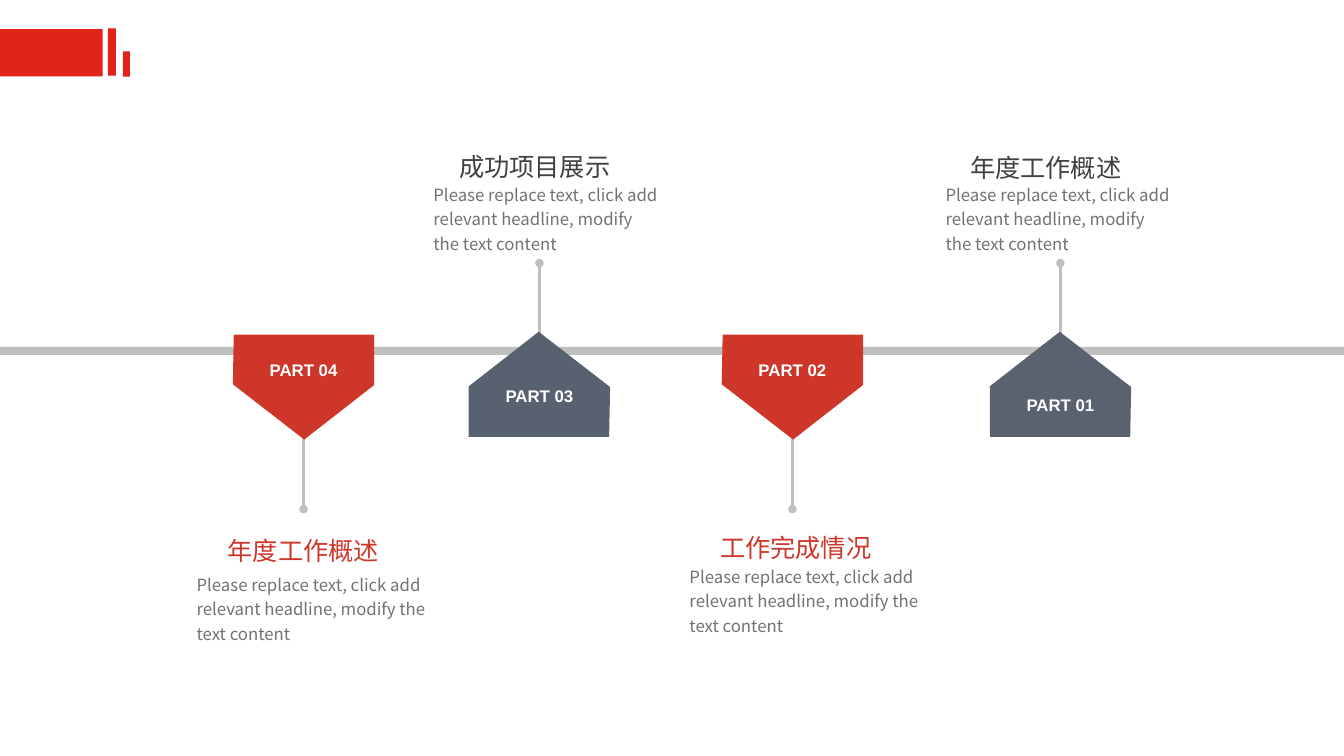
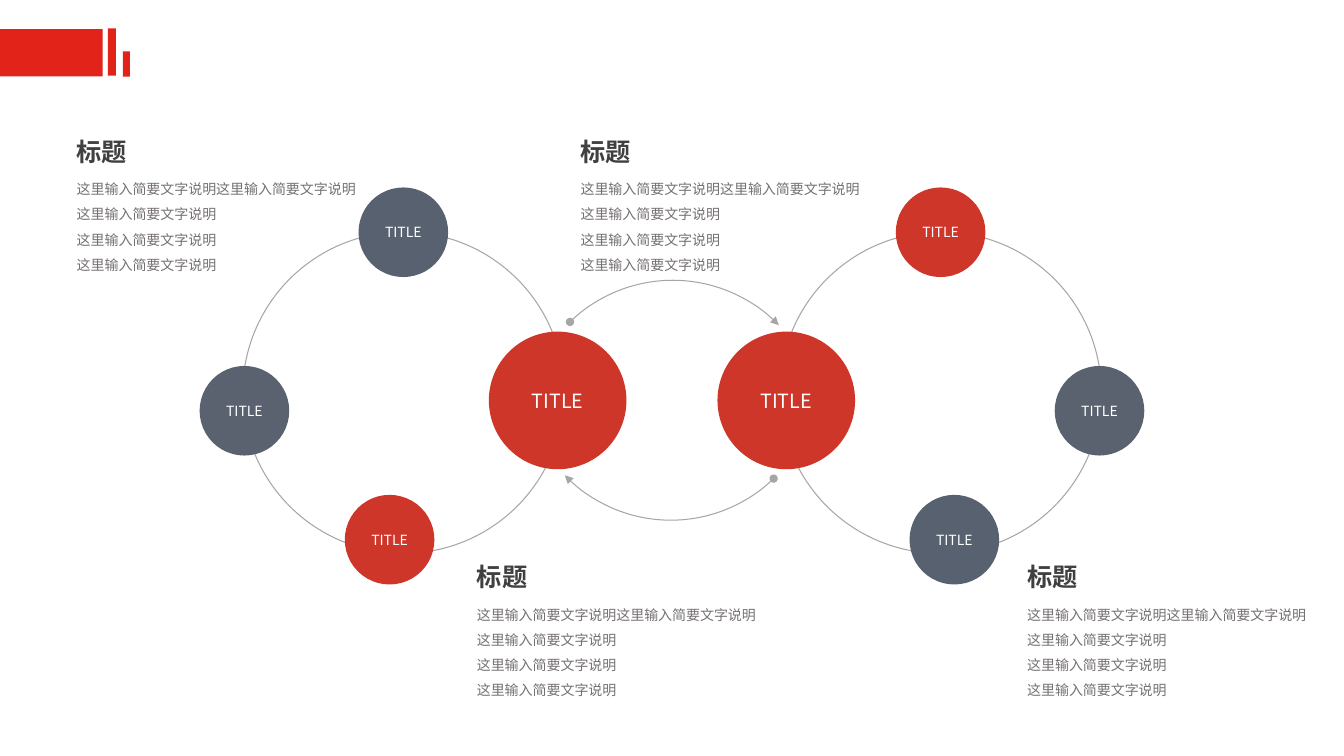
import lxml.etree
import pptx
import pptx.dml.color
import pptx.enum.shapes
import pptx.enum.text
import pptx.oxml.ns
import pptx.util

Pt = pptx.util.Pt
SHAPE = pptx.enum.shapes.MSO_SHAPE
ALIGN = pptx.enum.text.PP_ALIGN
ANCHOR = pptx.enum.text.MSO_ANCHOR
qn = pptx.oxml.ns.qn

WIDTH, HEIGHT = 960, 540
LATIN, CJK = "Arial", "Noto Sans CJK SC"
BRAND, RED, SLATE, STEEL = "E2231A", "CF362A", "586170", "5A616F"
WHITE, DARK, GREY, RAIL, RING = "FFFFFF", "404040", "767171", "BFBFBF", "A6A6A6"

CORNER_BARS = [(77, 20.2, 5.8, 33.8), (87.8, 36.7, 5, 18), (0, 20.9, 73.4, 33.8)]

PROMPT = "Please replace text, click add relevant headline, modify the text content"
MILESTONES = [
    {"label": "PART 04", "heading": "年度工作概述", "down": True, "left": 166.3, "fill": RED,
     "label_shift": -13.7, "heading_at": (216.7, 378.1), "body_at": (140.4, 408.2)},
    {"label": "PART 03", "heading": "成功项目展示", "down": False, "left": 334.8, "fill": SLATE,
     "label_shift": 6.8, "heading_at": (382, 104), "body_at": (309.6, 129.6)},
    {"label": "PART 02", "heading": "工作完成情况", "down": True, "left": 515.5, "fill": RED,
     "label_shift": -13.7, "heading_at": (568.4, 376), "body_at": (492.5, 402.5)},
    {"label": "PART 01", "heading": "年度工作概述", "down": False, "left": 707, "fill": STEEL,
     "label_shift": 13.2, "heading_at": (747, 104.6), "body_at": (675.4, 129.6)},
]
TAG_WIDTH, TAG_HEIGHT = 101, 75
TAG_OUTLINE = [(0.7, 0), (101, 0), (101, 36), (51, 75), (0, 35.5)]

SENTENCE = "这里输入简要文字说明"
NOTE_HEADING = "标题"
NOTE_LINES = [SENTENCE * 3, SENTENCE, SENTENCE]
NOTE_SPOTS = [(340.6, 401), (733.7, 401), (54.8, 97.1), (414.7, 97.1)]

CIRCLE_LABEL = "TITLE"
RING_BOX = (173.3, 165.6, 229.7)
CIRCLES = [
    {"box": (349.2, 236.9, 98.3), "size": 14, "fills": (RED, RED)},
    {"box": (142.6, 261.4, 64), "size": 10, "fills": (STEEL, STEEL)},
    {"box": (256.1, 133.9, 64), "size": 10, "fills": (SLATE, RED)},
    {"box": (246.3, 353.5, 64), "size": 10, "fills": (RED, SLATE)},
]
ARCS = [(375.1, 200.2, 225.9), (373.7, 160.6, 45.9)]
ARC_SIZE, ARC_SWEEP = 211, 90


def color(value):
    return pptx.dml.color.RGBColor.from_string(value)


def paint(shape, fill=None, line=None):
    shape.shadow.inherit = False
    if fill:
        shape.fill.solid()
        shape.fill.fore_color.rgb = color(fill)
    else:
        shape.fill.background()
    if line:
        shape.line.color.rgb = color(line)
        shape.line.width = Pt(0.75)
    else:
        shape.line.fill.background()
    return shape


def add_preset(slide, kind, box, fill=None, line=None):
    return paint(slide.shapes.add_shape(kind, *map(Pt, box)), fill, line)


def add_line_ends(shape, **ends):
    line = shape.element.spPr.find(qn("a:ln"))
    for end, style in ends.items():
        lxml.etree.SubElement(line, qn("a:" + end)).set("type", style)


def write(shape, lines, size, ink, font=CJK, bold=False, align=ALIGN.LEFT,
          spacing=1.0, anchor=ANCHOR.MIDDLE, wrap=True):
    frame = shape.text_frame
    frame.word_wrap = wrap
    frame.vertical_anchor = anchor
    frame.margin_left = frame.margin_right = frame.margin_top = frame.margin_bottom = 0
    for index, line in enumerate(lines):
        para = frame.add_paragraph() if index else frame.paragraphs[0]
        para.alignment = align
        para.line_spacing = spacing
        span = para.add_run()
        span.text = line
        span.font.size = Pt(size)
        span.font.bold = bold
        span.font.name = font
        span.font.color.rgb = color(ink)
        east_asian = lxml.etree.SubElement(span.font._element, qn("a:ea"))
        east_asian.set("typeface", CJK)
    return frame


def add_text(slide, box, lines, size, ink, **style):
    return write(slide.shapes.add_textbox(*map(Pt, box)), lines, size, ink, **style)


def brand_layout(layout, slide):
    for box in CORNER_BARS:
        bar = add_preset(slide, SHAPE.RECTANGLE, box, BRAND)
        layout.shapes.element.append(bar.element)


def add_stem(slide, x, start, end):
    stem = slide.shapes.add_connector(
        pptx.enum.shapes.MSO_CONNECTOR.STRAIGHT, Pt(x), Pt(start), Pt(x), Pt(end))
    stem.line.color.rgb = color(RAIL)
    stem.line.width = Pt(2)
    add_line_ends(stem, tailEnd="oval")
    lxml.etree.SubElement(stem.element.spPr, qn("a:effectLst"))


def add_tag(slide, item):
    top, outline = 239, TAG_OUTLINE
    if not item["down"]:
        top = 237
        outline = [(TAG_WIDTH - x, TAG_HEIGHT - y) for x, y in outline]
    corners = [(Pt(item["left"] + x), Pt(top + y)) for x, y in outline]
    builder = slide.shapes.build_freeform(*corners[0])
    builder.add_line_segments(corners[1:], close=True)
    tag = paint(builder.convert_to_shape(), item["fill"])
    frame = write(tag, [item["label"]], 12, WHITE, font=LATIN, bold=True,
                  align=ALIGN.CENTER, spacing=1.2)
    shift = item["label_shift"]
    frame.margin_top = Pt(max(2 * shift, 0))
    frame.margin_bottom = Pt(max(-2 * shift, 0))


def build_timeline(slide):
    add_preset(slide, SHAPE.RECTANGLE, (0, 247.7, WIDTH, 5.8), RAIL)
    for item in MILESTONES:
        down = item["down"]
        stem_start, stem_end = (310.3, 363.6) if down else (241.2, 187.9)
        add_stem(slide, item["left"] + TAG_WIDTH / 2, stem_start, stem_end)
        add_tag(slide, item)
        center, top = item["heading_at"]
        add_text(slide, (center - 76, top, 152, 30), [item["heading"]], 18,
                 RED if down else DARK, font=LATIN, align=ALIGN.CENTER, wrap=False)
        add_text(slide, (*item["body_at"], 170 if down else 161, 51), [PROMPT], 12,
                 GREY, spacing=1.2)


def build_cycles(slide):
    for side in range(2):
        def place(left, top, size):
            return (WIDTH - left - size if side else left, top, size, size)

        add_preset(slide, SHAPE.OVAL, place(*RING_BOX), line=RING)
        for circle in CIRCLES:
            disc = add_preset(slide, SHAPE.OVAL, place(*circle["box"]), circle["fills"][side])
            write(disc, [CIRCLE_LABEL], circle["size"], WHITE, align=ALIGN.CENTER)
    for left, top, start in ARCS:
        arc = add_preset(slide, SHAPE.ARC, (left, top, ARC_SIZE, ARC_SIZE), line=RING)
        for index, angle in enumerate((start, start + ARC_SWEEP)):
            arc.adjustments[index] = angle * 0.6
        add_line_ends(arc, headEnd="oval", tailEnd="triangle")
    for left, top in NOTE_SPOTS:
        add_text(slide, (left, top, 37, 22), [NOTE_HEADING], 18, DARK, bold=True,
                 anchor=ANCHOR.TOP, wrap=False)
        add_text(slide, (left, top + 26, 203, 88), NOTE_LINES, 10, GREY,
                 spacing=1.5, anchor=ANCHOR.TOP)


def main():
    deck = pptx.Presentation()
    deck.slide_width, deck.slide_height = Pt(WIDTH), Pt(HEIGHT)
    layout = deck.slide_layouts[6]
    pages = [deck.slides.add_slide(layout) for _ in range(2)]
    brand_layout(layout, pages[0])
    build_timeline(pages[0])
    build_cycles(pages[1])
    deck.save("out.pptx")


if __name__ == "__main__":
    main()
